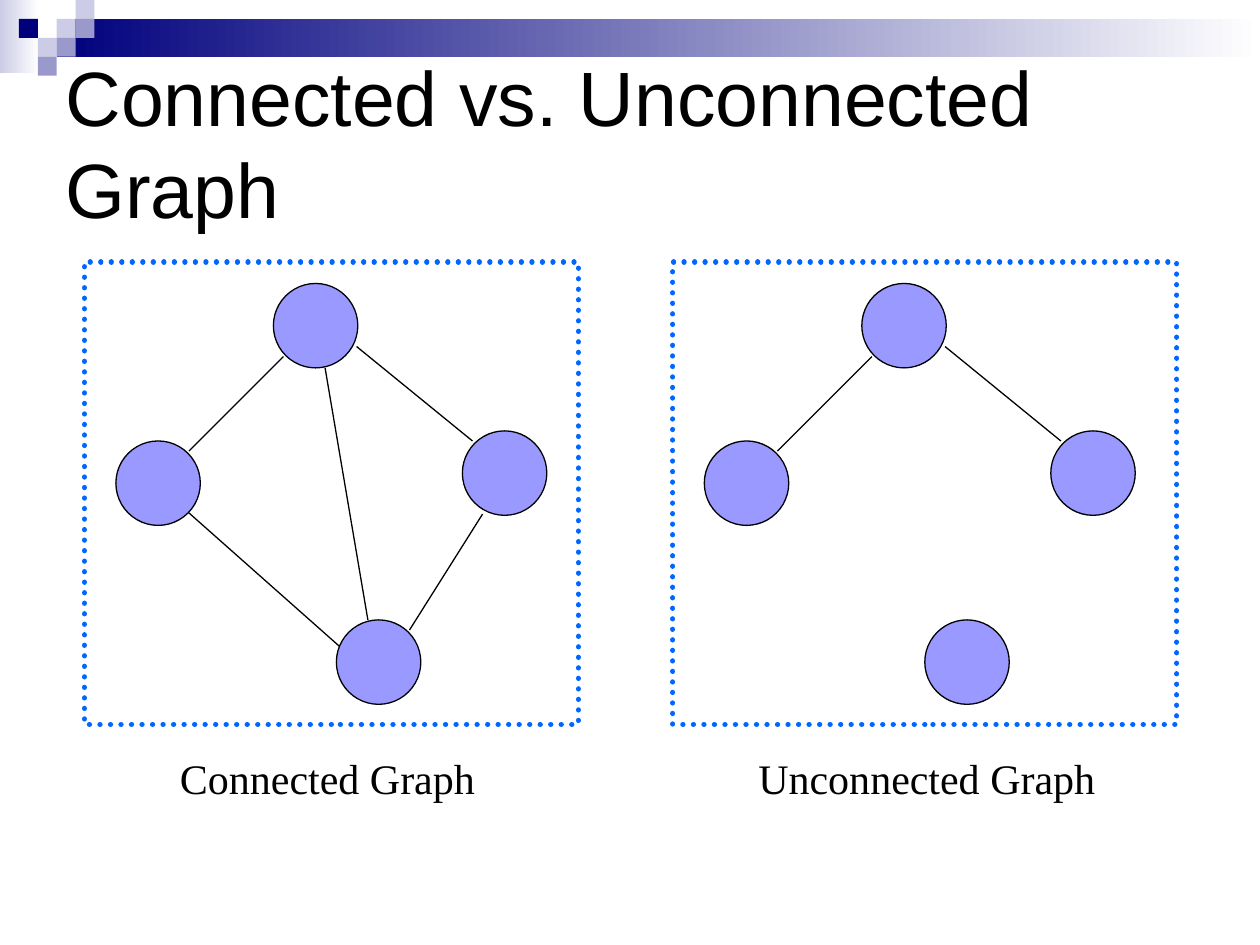
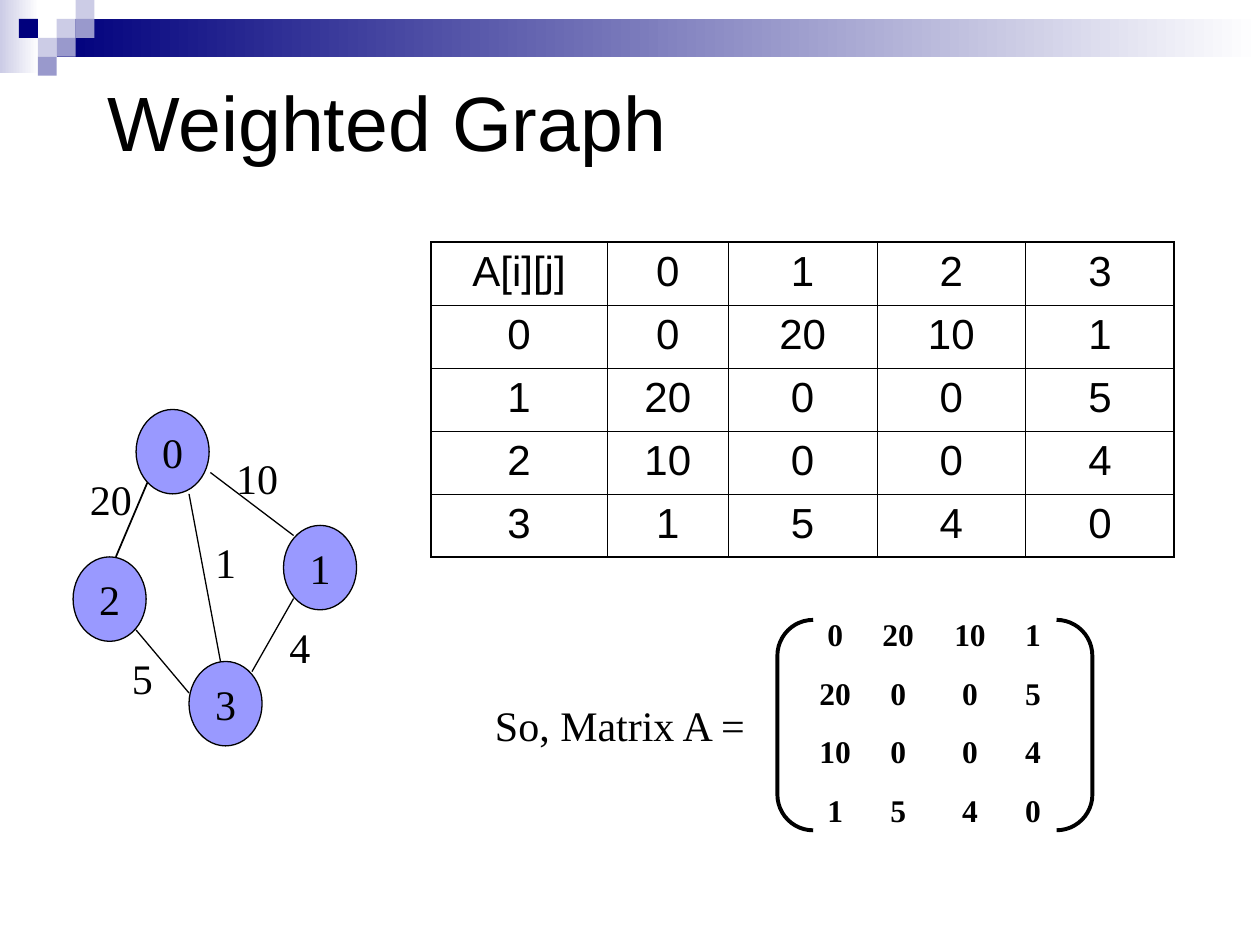
from lxml.etree import SubElement
from pptx import Presentation
from pptx.dml.color import RGBColor
from pptx.enum.dml import MSO_LINE
from pptx.enum.shapes import MSO_CONNECTOR, MSO_SHAPE
from pptx.enum.text import MSO_ANCHOR, MSO_AUTO_SIZE, PP_ALIGN
from pptx.oxml.ns import qn
from pptx.util import Inches, Pt

BLACK, WHITE, NAVY = "000000", "FFFFFF", "00007D"
LILAC, MAUVE, NODE, FRAME = "CCCCE6", "9999CC", "9999FF", "0066FF"
SANS, SERIF = "Arial", "Times New Roman"
TITLE = {"name": SANS, "size": Pt(44), "bold": False}
CELL = {"name": SANS, "size": Pt(24)}
LABEL = {"name": SERIF, "size": Pt(24)}
MATRIX = {"name": SERIF, "size": Pt(18), "bold": True}

SQUARE = 0.15
SQUARES = [(3, 1, LILAC), (4, 0, LILAC), (4, 1, MAUVE), (2, 2, LILAC),
           (1, 1, NAVY), (3, 2, MAUVE), (2, 3, MAUVE)]


def color(value):
    return RGBColor.from_string(value)


class SlideBuilder:
    """Draws styled elements on the current slide of a deck."""

    def __init__(self):
        self.deck = Presentation()
        self.deck.slide_width, self.deck.slide_height = Inches(10), Inches(7.5)
        self.page = None

    def start(self, title, *place):
        self.page = self.deck.slides.add_slide(self.deck.slide_layouts[5])
        self.rectangle((0, 0, 0.31, 0.58), (LILAC, WHITE))
        self.rectangle((0.45, 0.15, 9.55, 0.3), (NAVY, WHITE))
        for column, row, fill in SQUARES:
            self.rectangle((column * SQUARE, row * SQUARE, SQUARE, SQUARE), fill)
        box = self.page.shapes.title
        box.left, box.top, box.width, box.height = map(Inches, place)
        self.fill_text(box.text_frame, [title], TITLE, anchor=MSO_ANCHOR.MIDDLE)

    def fill_text(self, frame, lines, style, align=PP_ALIGN.LEFT,
                  anchor=MSO_ANCHOR.TOP, wrap=True, gap=0, tabs=()):
        frame.word_wrap, frame.vertical_anchor = wrap, anchor
        frame.auto_size = MSO_AUTO_SIZE.NONE
        for index, line in enumerate(lines):
            para = frame.add_paragraph() if index else frame.paragraphs[0]
            para.alignment = align
            if index:
                para.space_before = Pt(gap)
            if tabs:
                stops = SubElement(para._p.get_or_add_pPr(), qn("a:tabLst"))
                for stop in tabs:
                    SubElement(stops, qn("a:tab"), pos=str(Inches(stop)), algn="ctr")
            self.span(para, line, style)

    def span(self, para, words, style):
        span = para.add_run()
        span.text = words
        for name, value in style.items():
            setattr(span.font, name, value)
        span.font.color.rgb = color(BLACK)

    def shape(self, kind, place, fill=None, line=None, width=0.75):
        shape = self.page.shapes.add_shape(kind, *map(Inches, place))
        shape.shadow.inherit = False
        if isinstance(fill, tuple):
            shape.fill.gradient()
            shape.fill.gradient_angle = 0
            for stop, value in zip(shape.fill.gradient_stops, fill):
                stop.color.rgb = color(value)
        elif fill:
            shape.fill.solid()
            shape.fill.fore_color.rgb = color(fill)
        else:
            shape.fill.background()
        if line:
            shape.line.color.rgb = color(line)
            shape.line.width = Pt(width)
        else:
            shape.line.fill.background()
        return shape

    def rectangle(self, place, fill):
        self.shape(MSO_SHAPE.RECTANGLE, place, fill)

    def dotted_frame(self, *place):
        frame = self.shape(MSO_SHAPE.RECTANGLE, place, line=FRAME, width=3)
        frame.line.dash_style = MSO_LINE.ROUND_DOT
        frame._element.spPr.find(qn("a:ln")).set("cap", "rnd")

    def node(self, left, top, width, name=None):
        node = self.shape(MSO_SHAPE.OVAL, (left, top, width, 0.67), NODE, BLACK)
        if name:
            self.fill_text(node.text_frame, [name], LABEL, PP_ALIGN.CENTER,
                           MSO_ANCHOR.MIDDLE, wrap=False)

    def edge(self, *ends, width=0.75):
        edge = self.page.shapes.add_connector(MSO_CONNECTOR.STRAIGHT,
                                              *map(Inches, ends))
        edge.line.color.rgb = color(BLACK)
        edge.line.width = Pt(width)
        SubElement(edge._element.spPr, qn("a:effectLst"))

    def text(self, lines, place, style=LABEL, **options):
        box = self.page.shapes.add_textbox(*map(Inches, place))
        self.fill_text(box.text_frame, lines, style, **options)

    def brackets(self, *place):
        pair = self.shape(MSO_SHAPE.DOUBLE_BRACKET, place, line=BLACK, width=2.25)
        pair.adjustments[0] = 0.17

    def table(self, rows, left, top, widths, height):
        table = self.page.shapes.add_table(
            len(rows), len(widths), Inches(left), Inches(top),
            Inches(sum(widths)), Inches(height * len(rows))).table
        table.first_row = table.horz_banding = False
        for column, width in zip(table.columns, widths):
            column.width = Inches(width)
        for r, row in enumerate(rows):
            table.rows[r].height = Inches(height)
            for c, value in enumerate(row):
                cell = table.cell(r, c)
                self.fill_text(cell.text_frame, [str(value)], CELL, PP_ALIGN.CENTER)
                outer = {"lnL": c == 0, "lnR": c == len(row) - 1,
                         "lnT": r == 0, "lnB": r == len(rows) - 1}
                self.borders(cell, outer)
                cell.fill.background()

    def borders(self, cell, outer):
        properties = cell._tc.get_or_add_tcPr()
        for side, is_outer in outer.items():
            line = SubElement(properties, qn(f"a:{side}"),
                              w=str(Pt(1.08 if is_outer else 0.45)))
            fill = SubElement(line, qn("a:solidFill"))
            SubElement(fill, qn("a:srgbClr"), val=BLACK)


def connectivity(builder):
    builder.start("Connected vs. Unconnected Graph", 0.42, 0.5, 9.17, 1.25)
    nodes = [(2.17, 2.25), (3.67, 3.42), (2.67, 4.92), (0.92, 3.5)]
    upper_edges = [(2.25, 2.83, 1.5, 3.58), (2.83, 2.75, 3.75, 3.5)]
    lower_edges = [(1.42, 4, 2.83, 5.25), (3.25, 5, 3.83, 4.08),
                   (2.58, 2.92, 2.92, 4.92)]
    graphs = [("Connected Graph", 0, upper_edges + lower_edges, 3.92, 1.33),
              ("Unconnected Graph", 4.67, upper_edges, 4, 5.92)]
    for caption, shift, edges, width, caption_left in graphs:
        for x1, y1, x2, y2 in edges:
            builder.edge(x1 + shift, y1, x2 + shift, y2)
        for left, top in nodes:
            builder.node(left + shift, top, 0.67)
        builder.dotted_frame(0.67 + shift, 2.08, width, 3.67)
        builder.text([caption], (caption_left, 5.92, 3.5, 0.5))


def weighted(builder):
    builder.start("Weighted Graph", 0.75, 0.33, 8.5, 1.25)
    weights = [[0, 20, 10, 1], [20, 0, 0, 5], [10, 0, 0, 4], [1, 5, 4, 0]]
    rows = [["A[i][j]", *range(4)]]
    rows += [[index, *row] for index, row in enumerate(weights)]
    builder.table(rows, 3.42, 1.92, [1.4, 0.96, 1.18, 1.18, 1.18], 0.5)

    for name, left, top in [("0", 1.08, 3.25), ("1", 2.25, 4.17),
                            ("3", 1.5, 5.25), ("2", 0.58, 4.42)]:
        builder.node(left, top, 0.58, name)
    builder.edge(1.17, 3.83, 0.92, 4.42, width=1)
    for ends in [(1.08, 5, 1.5, 5.5), (1.67, 3.75, 2.33, 4.25),
                 (2.33, 4.75, 2, 5.33), (1.5, 3.92, 1.75, 5.25)]:
        builder.edge(*ends)
    for weight, left, top in [("20", 0.67, 3.75), ("10", 1.83, 3.58),
                              ("1", 1.58, 4.25), ("5", 0.92, 5.17),
                              ("4", 2.17, 4.92)]:
        builder.text([weight], (left, top, 0.42, 0.42), align=PP_ALIGN.CENTER,
                     anchor=MSO_ANCHOR.MIDDLE, wrap=False)

    builder.text(["So, Matrix A ="], (3.83, 5.5, 2.42, 0.5))
    builder.brackets(6.17, 4.92, 2.5, 1.67)
    lines = ["".join(f"\t{value}" for value in row) for row in weights]
    builder.text(lines, (6.3, 4.83, 2.29, 1.77), MATRIX, gap=12,
                 tabs=(0.23, 0.73, 1.3, 1.8))


def main():
    builder = SlideBuilder()
    connectivity(builder)
    weighted(builder)
    builder.deck.save("out.pptx")


if __name__ == "__main__":
    main()
